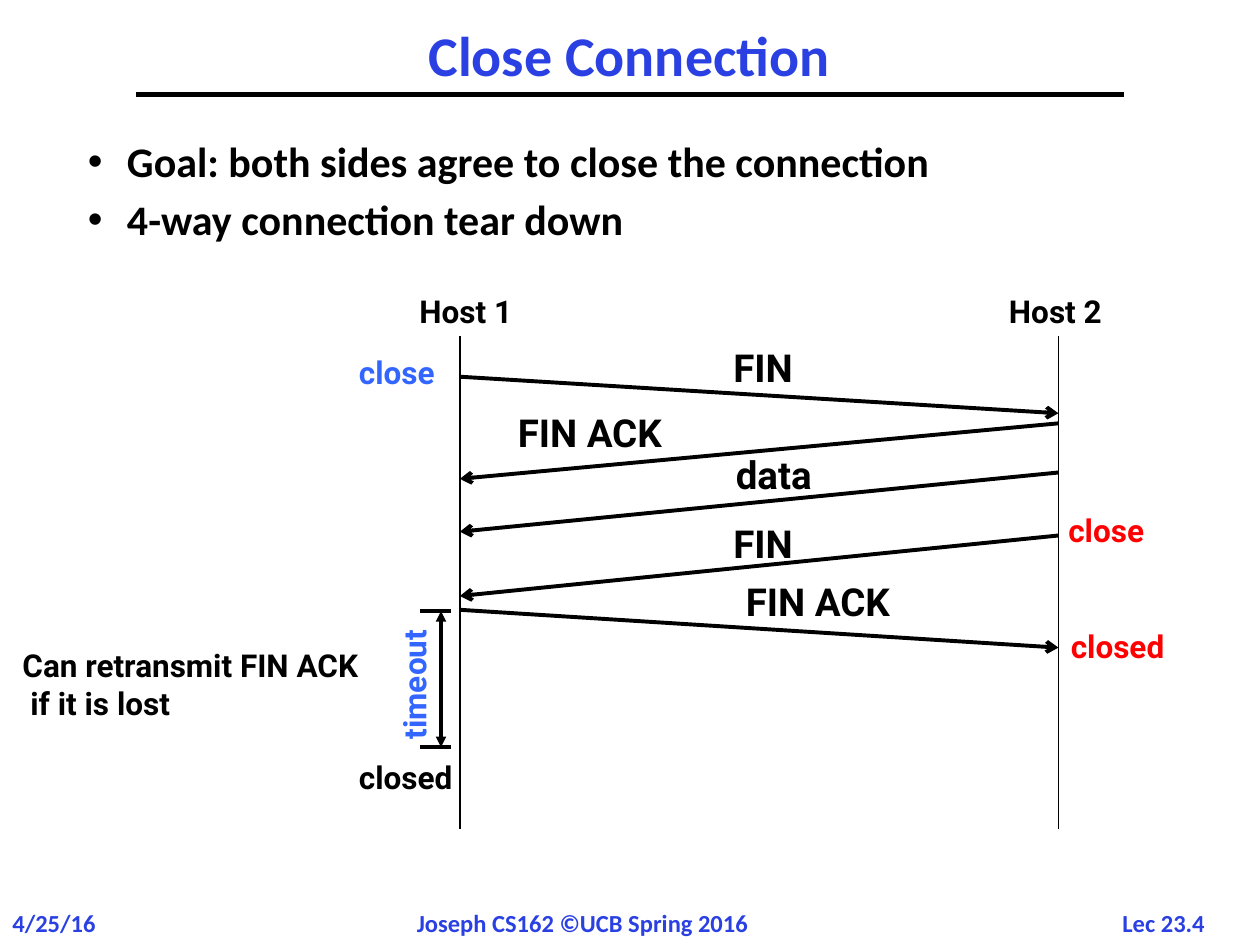
from dataclasses import dataclass

from lxml import etree
from pptx import Presentation
from pptx import util as u
from pptx.dml.color import RGBColor
from pptx.enum import shapes, text
from pptx.oxml import ns


@dataclass(frozen=True)
class Theme:
    heading_font: str = "Calibri"
    diagram_font: str = "Roboto"
    black: str = "000000"
    heading: str = "2A40E2"
    host_1: str = "3366FF"
    host_2: str = "FF0000"
    title_size: int = 32
    body_size: int = 24
    message_size: int = 22
    label_size: int = 18
    footer_size: int = 14


THEME = Theme()
HOST_1_X, HOST_2_X = 3.65, 8.4


def add_text(slide, content, left, top, width, height, *, size=THEME.label_size,
             font=THEME.diagram_font, color=THEME.black, align=text.PP_ALIGN.LEFT,
             anchor=text.MSO_ANCHOR.TOP, wrap=False, inset=(0.1, 0.05),
             line_spacing=None, rotation=0):
    """Add a bold text box with one paragraph for each item of content."""
    box = slide.shapes.add_textbox(*map(u.Inches, (left, top, width, height)))
    box.rotation = rotation
    frame = box.text_frame
    frame.word_wrap = wrap
    frame.auto_size = (text.MSO_AUTO_SIZE.NONE if wrap
                       else text.MSO_AUTO_SIZE.SHAPE_TO_FIT_TEXT)
    frame.vertical_anchor = anchor
    frame.margin_left = frame.margin_right = u.Inches(inset[0])
    frame.margin_top = frame.margin_bottom = u.Inches(inset[1])
    lines = [content] if isinstance(content, str) else content
    for index, line in enumerate(lines):
        paragraph = frame.paragraphs[0] if index == 0 else frame.add_paragraph()
        paragraph.text = line
        paragraph.alignment = align
        paragraph.line_spacing = line_spacing
        for run in paragraph.runs:
            run.font.name = font
            run.font.size = u.Pt(size)
            run.font.bold = True
            run.font.color.rgb = RGBColor.from_string(color)
    return box


def add_line(slide, start, end, width, head=None, tail=None):
    """Add a black line; head is the arrowhead at start, tail the one at end."""
    line = slide.shapes.add_connector(
        shapes.MSO_CONNECTOR.STRAIGHT, *map(u.Inches, (*start, *end)))
    line.line.width = u.Pt(width)
    line.line.color.rgb = RGBColor.from_string(THEME.black)
    outline = line.line._get_or_add_ln()
    for tag, kind in (("a:headEnd", head), ("a:tailEnd", tail)):
        if kind:
            etree.SubElement(outline, ns.qn(tag), type=kind)
    etree.SubElement(line._element.spPr, ns.qn("a:effectLst"))


def add_bullets(slide, items):
    box = add_text(slide, items, 0.6, 1.07, 7.83, 0.75, size=THEME.body_size,
                   font=THEME.heading_font, wrap=True, line_spacing=0.9)
    for paragraph in box.text_frame.paragraphs:
        paragraph.space_after = u.Pt(0.3 * THEME.body_size)
        properties = paragraph._p.get_or_add_pPr()
        indent = u.Inches(0.31)
        properties.set("marL", str(indent))
        properties.set("indent", str(-indent))
        etree.SubElement(properties, ns.qn("a:buFont"), typeface="Arial")
        etree.SubElement(properties, ns.qn("a:buChar"), char="•")


def add_title_and_footer(slide):
    add_text(slide, "Close Connection", 1.08, 0.17, 7.83, 0.58,
             size=THEME.title_size, font=THEME.heading_font, color=THEME.heading,
             align=text.PP_ALIGN.CENTER, anchor=text.MSO_ANCHOR.MIDDLE,
             wrap=True, line_spacing=0.9)
    add_line(slide, (1.08, 0.75), (8.92, 0.75), 3)
    for content, left, width, align in (
            ("4/25/16", 0, 1, text.PP_ALIGN.LEFT),
            ("Joseph CS162 ©UCB Spring 2016", 3.21, 3, text.PP_ALIGN.LEFT),
            ("Lec 23.4", 8.72, 1.03, text.PP_ALIGN.CENTER)):
        add_text(slide, content, left, 7.16, width, 0.34, size=THEME.footer_size,
                 font=THEME.heading_font, color=THEME.heading, align=align,
                 wrap=True)


def add_host(slide, name, x, label_left):
    add_line(slide, (x, 2.67), (x, 6.58), 1)
    add_text(slide, name, label_left, 2.27, 0.97, 0.4)


def add_message(slide, name, start, end, left, top, width):
    add_line(slide, start, end, 2.25, tail="arrow")
    add_text(slide, name, left, top, width, 0.46, size=THEME.message_size,
             inset=(0.09, 0.04))


def add_timeout(slide):
    top, bottom = 4.85, 5.93
    for y in (top, bottom):
        add_line(slide, (3.33, y), (3.58, y), 2)
    add_line(slide, (3.5, bottom), (3.5, top), 2, head="triangle", tail="triangle")
    add_text(slide, "timeout", 2.72, 5.2, 1.13, 0.4, color=THEME.host_1,
             rotation=270)


def main():
    presentation = Presentation()
    presentation.slide_width = u.Inches(10)
    presentation.slide_height = u.Inches(7.5)
    slide = presentation.slides.add_slide(presentation.slide_layouts[6])

    add_title_and_footer(slide)
    add_bullets(slide, ("Goal: both sides agree to close the connection",
                        "4-way connection tear down"))
    add_host(slide, "Host 1", HOST_1_X, 3.23)
    add_host(slide, "Host 2", HOST_2_X, 7.91)

    for name, from_host_1, start_y, end_y, left, top, width in (
            ("FIN", True, 2.99, 3.28, 5.73, 2.69, 0.68),
            ("FIN ACK", False, 3.36, 3.8, 4.02, 3.21, 1.43),
            ("data", False, 3.75, 4.22, 5.75, 3.54, 0.82),
            ("FIN", False, 4.25, 4.73, 5.73, 4.09, 0.68),
            ("FIN ACK", True, 4.84, 5.14, 5.83, 4.55, 1.43)):
        start_x, end_x = ((HOST_1_X, HOST_2_X) if from_host_1
                          else (HOST_2_X, HOST_1_X))
        add_message(slide, name, (start_x, start_y), (end_x, end_y),
                    left, top, width)

    add_timeout(slide)
    for state, left, top, width, color in (
            ("close", 2.75, 2.75, 0.85, THEME.host_1),
            ("closed", 2.75, 5.97, 1, THEME.black),
            ("close", 8.38, 4.01, 0.85, THEME.host_2),
            ("closed", 8.4, 4.93, 1, THEME.host_2)):
        add_text(slide, state, left, top, width, 0.4, color=color)
    add_text(slide, "Can retransmit FIN ACK\v if it is lost", 0.08, 5.08, 3.18, 0.71)

    presentation.save("out.pptx")


if __name__ == "__main__":
    main()
